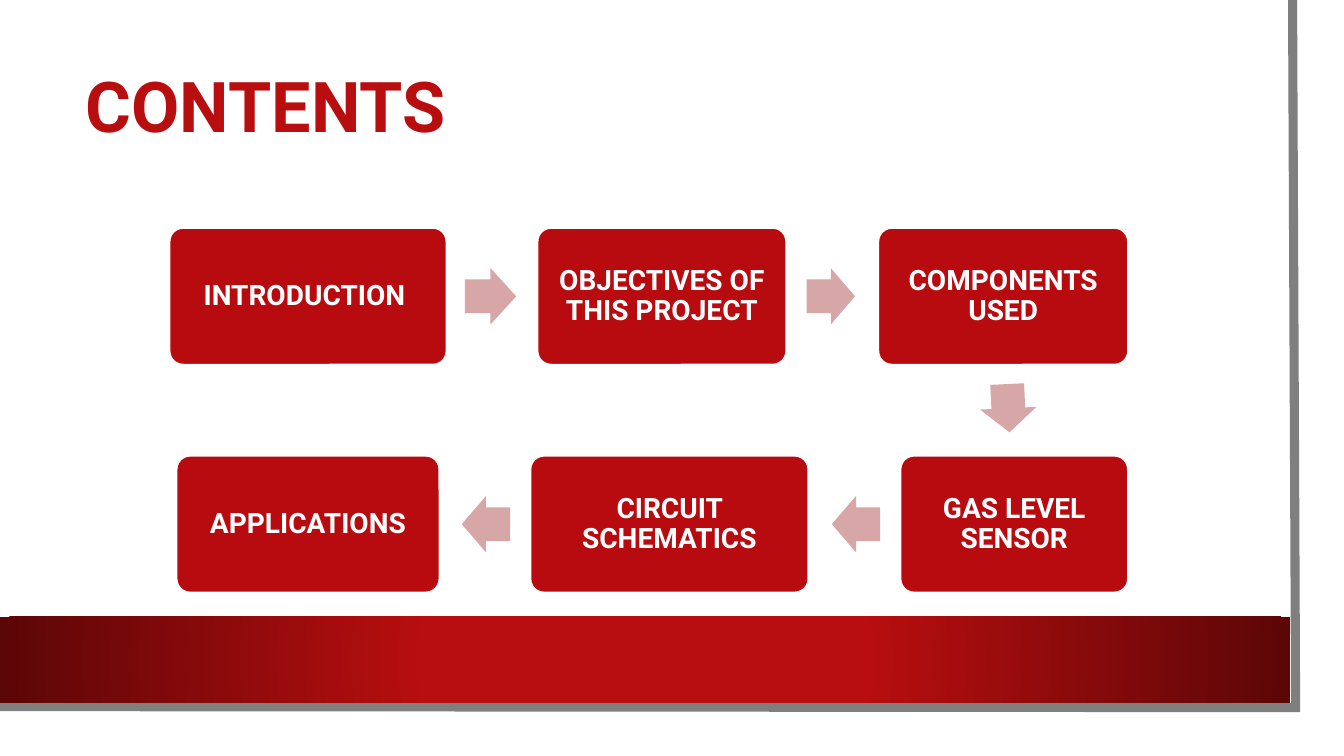
from dataclasses import dataclass

from lxml import etree
from pptx import Presentation
from pptx.dml.color import RGBColor
from pptx.enum import shapes, text
from pptx.oxml import parse_xml
from pptx.oxml.ns import qn
from pptx.util import Inches, Pt


@dataclass(frozen=True)
class Theme:
    font: str = "Roboto"
    title_size: int = 50
    step_size: int = 20
    red: str = "B80E0F"
    dark_red: str = "5C0607"
    step_red: str = "B80B0F"
    arrow_pink: str = "D7A7A8"
    frame_grey: str = "7F7F7F"
    white: str = "FFFFFF"


theme = Theme()


def add_filled(kind, left, top, width, height, color):
    sp = s.shapes.add_shape(kind, Inches(left), Inches(top), Inches(width), Inches(height))
    sp.shadow.inherit = False
    sp.fill.solid()
    sp.fill.fore_color.rgb = RGBColor.from_string(color)
    sp.line.fill.background()
    return sp


def style_text(tf, size, color, align):
    tf.word_wrap = True
    tf.auto_size = text.MSO_AUTO_SIZE.NONE
    tf.vertical_anchor = text.MSO_ANCHOR.MIDDLE
    p = tf.paragraphs[0]
    p.alignment = align
    p.line_spacing = 0.9
    p.font.name = theme.font
    p.font.size = Pt(size)
    p.font.bold = True
    p.font.color.rgb = RGBColor.from_string(color)


prs = Presentation()
prs.slide_width, prs.slide_height = Inches(13.33), Inches(7.5)
s = prs.slides.add_slide(prs.slide_layouts[5])

# Page edge
builder = s.shapes.build_freeform(Inches(12.82), 0)
builder.add_line_segments(
    [(Inches(12.85), Inches(7.02)), (Inches(-0.03), Inches(7.01))], close=False)
frame = builder.convert_to_shape()
frame.shadow.inherit = False
frame.fill.background()
frame.line.color.rgb = RGBColor.from_string(theme.frame_grey)
frame.line.width = Pt(6.5)
etree.SubElement(frame.line._get_or_add_ln(), qn("a:miter"), lim="800000")

# Bottom band with a radial gradient
band = add_filled(shapes.MSO_SHAPE.RECTANGLE, 0, 6.12, 12.8, 0.85, theme.red)
stops = "".join(
    f'<a:gs pos="{percent * 1000}"><a:srgbClr val="{color}"/></a:gs>'
    for percent, color in [(0, theme.red), (34, theme.red), (100, theme.dark_red)])
gradient = parse_xml(
    '<a:gradFill xmlns:a="http://schemas.openxmlformats.org/drawingml/2006/main">'
    f'<a:gsLst>{stops}</a:gsLst><a:path path="circle">'
    '<a:fillToRect l="50000" t="50000" r="50000" b="50000"/></a:path></a:gradFill>')
solid = band.element.spPr.find(qn("a:solidFill"))
solid.getparent().replace(solid, gradient)

# Title
title = s.shapes.title
title.left, title.top = Inches(0.75), Inches(0.46)
title.width, title.height = Inches(11.37), Inches(1.26)
title.text_frame.text = "CONTENTS"
style_text(title.text_frame, theme.title_size, theme.red, text.PP_ALIGN.LEFT)

# Steps: label, left, top, width
top_row, bottom_row, step_height = 2.26, 4.52, 1.36
steps = [
    ("INTRODUCTION ", 1.68, top_row, 2.75),
    ("OBJECTIVES OF THIS PROJECT", 5.33, top_row, 2.47),
    ("COMPONENTS USED", 8.71, top_row, 2.48),
    ("GAS LEVEL SENSOR", 8.93, bottom_row, 2.26),
    ("CIRCUIT SCHEMATICS", 5.26, bottom_row, 2.76),
    ("APPLICATIONS", 1.75, bottom_row, 2.61),
]
for label, left, top, width in steps:
    step = add_filled(shapes.MSO_SHAPE.ROUNDED_RECTANGLE,
                      left, top, width, step_height, theme.step_red)
    step.adjustments[0] = 0.1
    step.line.color.rgb = RGBColor.from_string(theme.white)
    step.line.width = Pt(1.5)
    tf = step.text_frame
    tf.margin_left = tf.margin_right = tf.margin_top = tf.margin_bottom = Inches(0.08)
    tf.text = label
    style_text(tf, theme.step_size, theme.white, text.PP_ALIGN.CENTER)

# Arrows: left, top, width, rotation
arrow_height = 0.56
arrow_inset = (step_height - arrow_height) / 2
arrows = [
    (4.61, top_row + arrow_inset, 0.51, 0),
    (8.0, top_row + arrow_inset, 0.48, 0),
    (9.76, 3.77, 0.48, 87.2),
    (8.25, bottom_row + arrow_inset, 0.48, 180),
    (4.58, bottom_row + arrow_inset, 0.48, 180),
]
for left, top, width, rotation in arrows:
    arrow = add_filled(shapes.MSO_SHAPE.RIGHT_ARROW,
                       left, top, width, arrow_height, theme.arrow_pink)
    arrow.adjustments[0], arrow.adjustments[1] = 0.6, 0.5
    arrow.rotation = rotation

prs.save("out.pptx")
